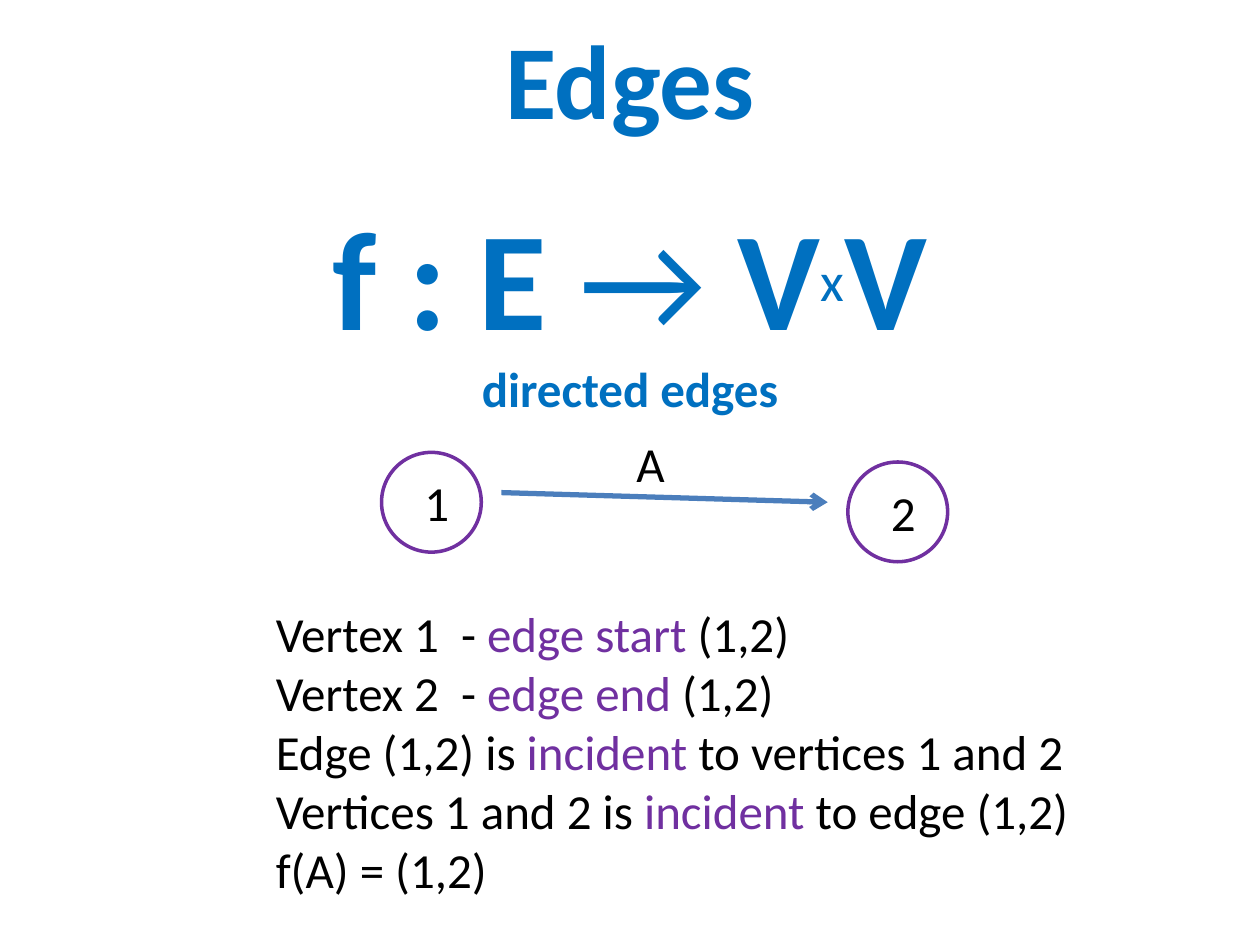
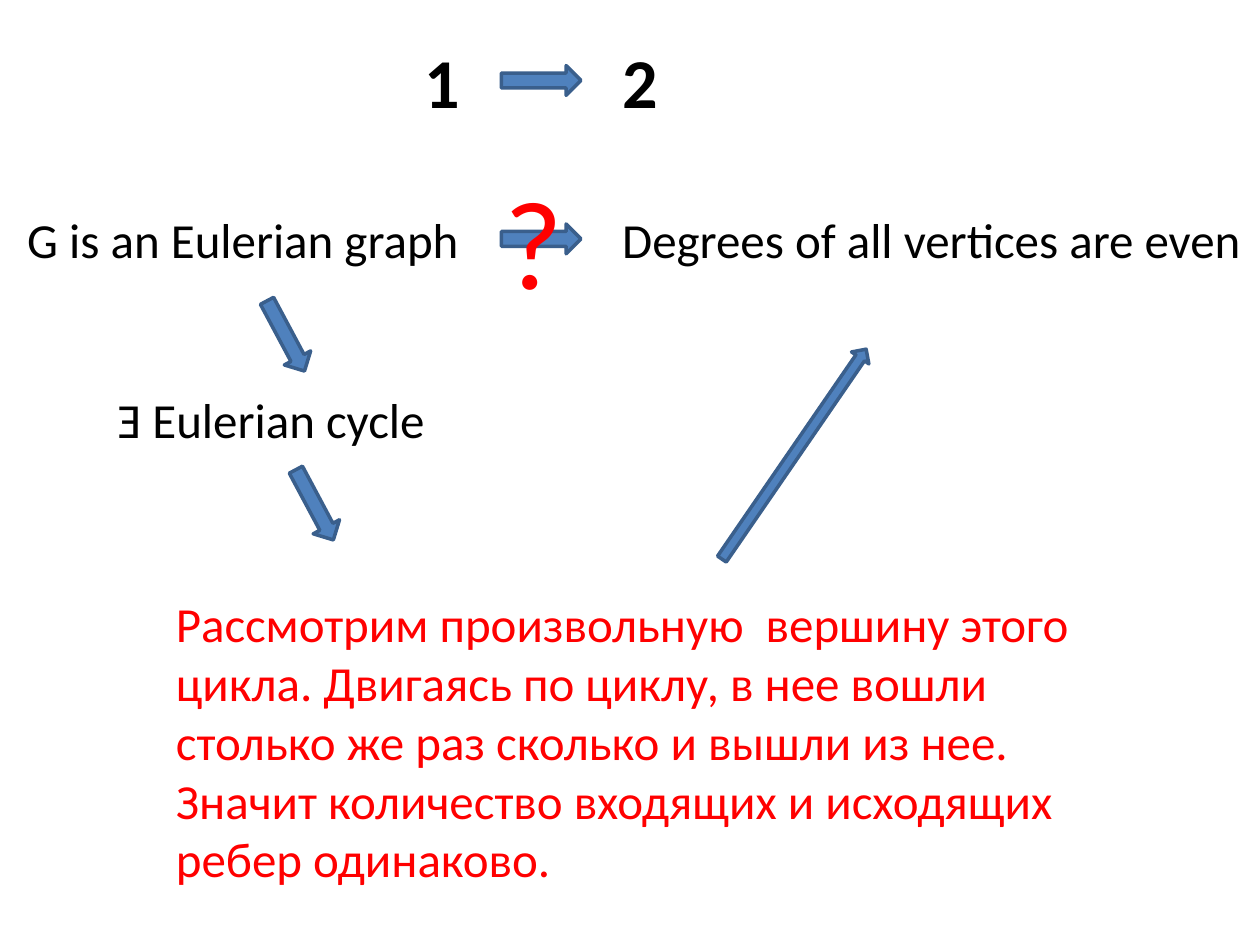
from lxml.etree import SubElement
from pptx import Presentation
from pptx.dml.color import RGBColor
from pptx.enum.shapes import MSO_CONNECTOR, MSO_SHAPE
from pptx.enum.text import MSO_ANCHOR, PP_ALIGN
from pptx.oxml.ns import qn
from pptx.util import Pt

BLACK = RGBColor(0x00, 0x00, 0x00)
WHITE = RGBColor(0xFF, 0xFF, 0xFF)
BLUE = RGBColor(0x00, 0x70, 0xC0)
PURPLE = RGBColor(0x70, 0x30, 0xA0)
RED = RGBColor(0xFF, 0x00, 0x00)
EDGE_BLUE = RGBColor(0x4B, 0x7E, 0xBC)
ARROW_FILL = RGBColor(0x4F, 0x81, 0xBD)
ARROW_LINE = RGBColor(0x3A, 0x5F, 0x8C)
FONT = "Calibri"
LEFT, CENTER = PP_ALIGN.LEFT, PP_ALIGN.CENTER


def add_text(slide, place, *paragraphs, size=28, color=BLACK, bold=False, align=LEFT):
    frame = slide.shapes.add_textbox(*map(Pt, place)).text_frame
    frame.word_wrap = True
    frame.vertical_anchor = MSO_ANCHOR.MIDDLE
    for index, pieces in enumerate(paragraphs):
        paragraph = frame.paragraphs[0] if index == 0 else frame.add_paragraph()
        paragraph.alignment = align
        for piece in [pieces] if isinstance(pieces, str) else pieces:
            wording, style = (piece, {}) if isinstance(piece, str) else piece
            if wording == "\n":
                paragraph.add_line_break()
                continue
            run = paragraph.add_run()
            run.text = wording
            run.font.name = FONT
            run.font.size = Pt(style.get("size", size))
            run.font.bold = style.get("bold", bold)
            run.font.color.rgb = style.get("color", color)
            if "baseline" in style:
                run.font._element.set("baseline", style["baseline"])


def add_figure(slide, kind, place, fill, line, rotation=0):
    figure = slide.shapes.add_shape(kind, *map(Pt, place))
    figure.shadow.inherit = False
    figure.fill.solid()
    figure.fill.fore_color.rgb = fill
    figure.line.color.rgb = line
    figure.line.width = Pt(2)
    figure.rotation = rotation


deck = Presentation()
deck.slide_width, deck.slide_height = Pt(720), Pt(540)
blank = deck.slide_layouts[6]

edges = deck.slides.add_slide(blank)
add_text(edges, (0, 0, 720, 88.5), "Edges", size=60, color=BLUE, bold=True, align=CENTER)
add_text(
    edges,
    (0, 77, 720, 193),
    [
        "f : E",
        (" → ", {"bold": False}),
        "V",
        ("x", {"size": 54, "bold": False, "baseline": "30000"}),
        "V",
        "\n",
        ("directed edges", {"size": 28}),
    ],
    size=80, color=BLUE, bold=True, align=CENTER,
)

for vertex, circle, label in (
    ("2", (484.5, 264), (502, 270)),
    ("1", (218, 258.5), (235.5, 264)),
):
    add_figure(edges, MSO_SHAPE.OVAL, (*circle, 57, 57), WHITE, PURPLE)
    add_text(edges, (*label, 28, 45.5), vertex, align=CENTER)

edge = edges.shapes.add_connector(
    MSO_CONNECTOR.STRAIGHT, Pt(286.5), Pt(281.5), Pt(473), Pt(287)
)
edge.line.color.rgb = EDGE_BLUE
edge.line.width = Pt(3)
SubElement(edge.line._get_or_add_ln(), qn("a:tailEnd"), type="arrow")
SubElement(edge._element.spPr, qn("a:effectLst"))
add_text(edges, (292.5, 242, 158.5, 45.5), "A", align=CENTER)

term = {"color": PURPLE}
add_text(
    edges,
    (150.5, 332.5, 550, 193),
    ["Vertex 1  - ", ("edge start ", term), "(1,2)"],
    ["Vertex 2  - ", ("edge end ", term), "(1,2)"],
    ["Edge (1,2) is ", ("incident ", term), "to vertices 1 and 2"],
    ["Vertices 1 and 2 is ", ("incident ", term), "to edge (1,2)"],
    "f(A) = (1,2)",
)

proof = deck.slides.add_slide(blank)
for place, rotation in (
    ((286.5, 37.5, 45.5, 17), 0),
    ((286.5, 128, 45.5, 17), 0),
    ((140.5, 183.5, 45.5, 17), 61.9),
    ((157, 280, 45.5, 17), 61.9),
    ((381, 253.5, 145.5, 12), 304.5),
):
    add_figure(proof, MSO_SHAPE.RIGHT_ARROW, place, ARROW_FILL, ARROW_LINE, rotation)

add_text(proof, (235.5, 9.5, 34, 73.5), "1", size=40, bold=True)
add_text(proof, (348.5, 9.5, 34, 73.5), "2", size=40, bold=True)
add_text(proof, (8.5, 100, 272, 73.5), "G is an Eulerian graph")
add_text(proof, (348.5, 100, 371.5, 73.5), "Degrees of all vertices are even")
add_text(proof, (60, 202.5, 204, 73.5), "Ǝ Eulerian cycle")
add_text(proof, (281, 77, 57, 119), "?", size=72, color=RED)
add_text(
    proof,
    (93.5, 332.5, 556, 181.5),
    "Рассмотрим произвольную  вершину этого цикла. Двигаясь по циклу, "
    "в нее вошли столько же раз сколько и вышли из нее. "
    "Значит количество входящих и исходящих ребер одинаково.",
    color=RED,
)

deck.save("out.pptx")
